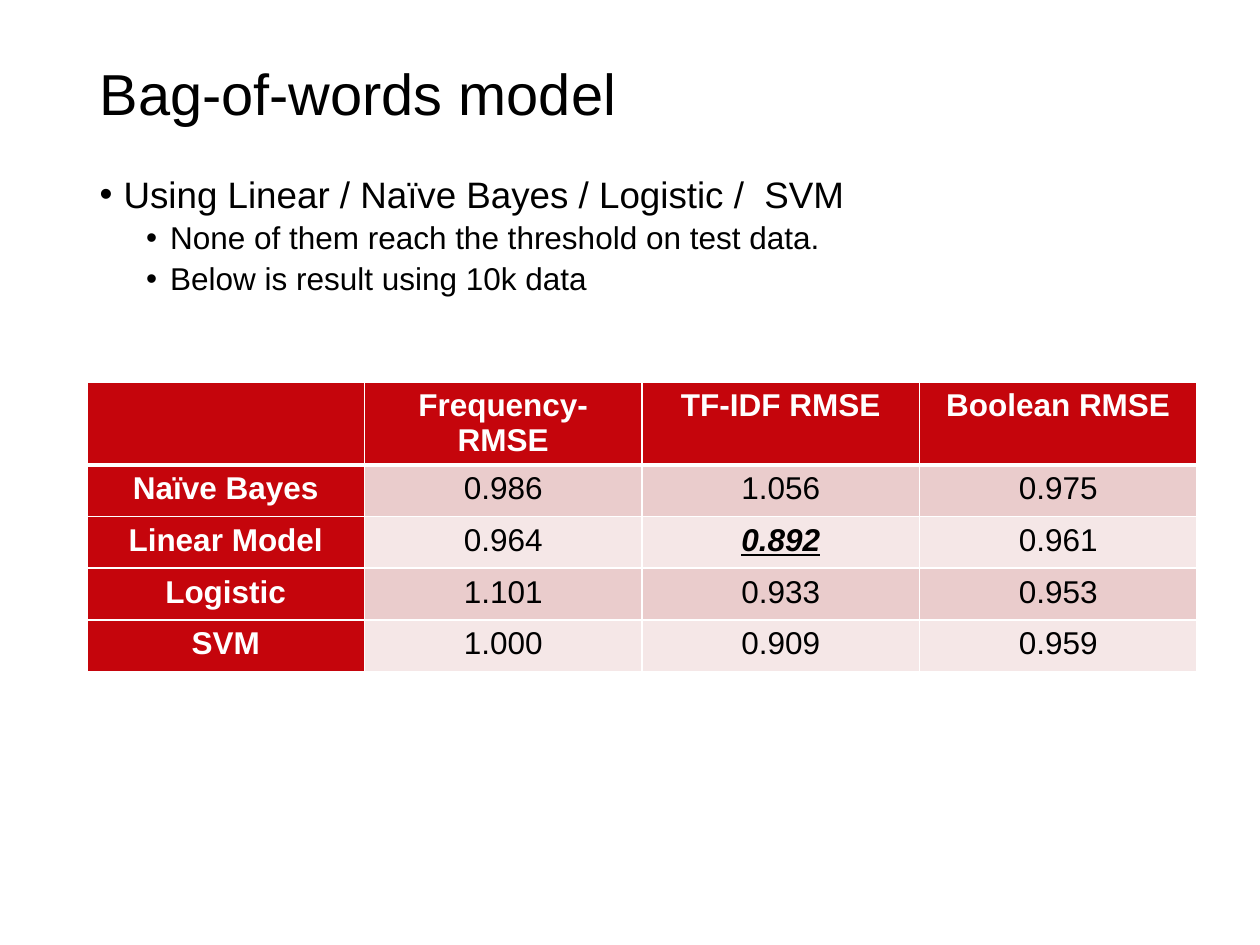
from lxml import etree
from pptx import Presentation
from pptx import util as u
from pptx.dml.color import RGBColor
from pptx.enum import text
from pptx.oxml.ns import qn

BLACK = RGBColor(0x00, 0x00, 0x00)
WHITE = RGBColor(0xFF, 0xFF, 0xFF)
RED = RGBColor(0xC5, 0x05, 0x0C)
BANDS = [RGBColor(0xEA, 0xCC, 0xCC), RGBColor(0xF5, 0xE7, 0xE7)]


def add_text(p, content, size=18, color=BLACK, bold=False, italic=False,
             underline=False, align=text.PP_ALIGN.LEFT, spacing=None, before=0):
    p.alignment = align
    p.line_spacing = spacing
    p.space_before = u.Pt(before)
    r = p.add_run()
    r.text = content
    r.font.name = "Arial"
    r.font.size = u.Pt(size)
    r.font.color.rgb = color
    r.font.bold = bold
    r.font.italic = italic
    r.font.underline = underline


def add_border(cell, side, width):
    ln = etree.SubElement(cell._tc.get_or_add_tcPr(), qn(f"a:{side}"), w=str(u.Pt(width)))
    fill = etree.SubElement(ln, qn("a:solidFill"))
    etree.SubElement(fill, qn("a:srgbClr"), val=str(WHITE))


prs = Presentation()
prs.slide_width, prs.slide_height = u.Inches(10), u.Inches(7.5)
s = prs.slides.add_slide(prs.slide_layouts[1])

title, body = s.shapes.title, s.placeholders[1]
for sp, top, height in [(title, 0.4, 0.73), (body, 1.35, 5.39)]:
    sp.left, sp.top = u.Inches(0.69), u.Inches(top)
    sp.width, sp.height = u.Inches(8.62), u.Inches(height)
    sp.text_frame.auto_size = text.MSO_AUTO_SIZE.NONE

title.text_frame.vertical_anchor = text.MSO_ANCHOR.MIDDLE
add_text(title.text_frame.paragraphs[0], "Bag-of-words model", size=33, spacing=0.9)

bullets = [
    (0, "Using Linear / Naïve Bayes / Logistic /  SVM"),
    (1, "None of them reach the threshold on test data."),
    (1, "Below is result using 10k data"),
]
tf = body.text_frame
for i, (level, content) in enumerate(bullets):
    p = tf.add_paragraph() if i else tf.paragraphs[0]
    p.level = level
    add_text(p, content, size=(21, 18)[level], spacing=0.9, before=(7.5, 3.8)[level])
    pPr = p._p.get_or_add_pPr()
    pPr.set("marL", str(u.Inches((0.19, 0.56)[level])))
    pPr.set("indent", str(u.Inches(-0.19)))
    etree.SubElement(pPr, qn("a:buFont"), typeface="Arial")
    etree.SubElement(pPr, qn("a:buChar"), char="•")

rows = [
    ["", "Frequency-RMSE", "TF-IDF RMSE", "Boolean RMSE"],
    ["Naïve Bayes", "0.986", "1.056", "0.975"],
    ["Linear Model", "0.964", "0.892", "0.961"],
    ["Logistic", "1.101", "0.933", "0.953"],
    ["SVM", "1.000", "0.909", "0.959"],
]
BEST = "0.892"
tbl = s.shapes.add_table(len(rows), len(rows[0]), u.Inches(0.69), u.Inches(3.03),
                         u.Inches(8.81), u.Inches(2.03)).table
tbl.first_col = True
for row in tbl.rows:
    row.height = u.Inches(0.41)

for i, values in enumerate(rows):
    for j, value in enumerate(values):
        cell = tbl.cell(i, j)
        heading = i == 0 or j == 0
        best = value == BEST
        for side in ("lnL", "lnR", "lnT", "lnB"):
            thick = (i == 0 and side == "lnB") or (i == 1 and side == "lnT")
            add_border(cell, side, 3 if thick else 1)
        cell.fill.solid()
        cell.fill.fore_color.rgb = RED if heading else BANDS[(i - 1) % 2]
        if value:
            add_text(cell.text_frame.paragraphs[0], value,
                     color=WHITE if heading else BLACK, bold=heading or best,
                     italic=best, underline=best, align=text.PP_ALIGN.CENTER)

prs.save("out.pptx")
